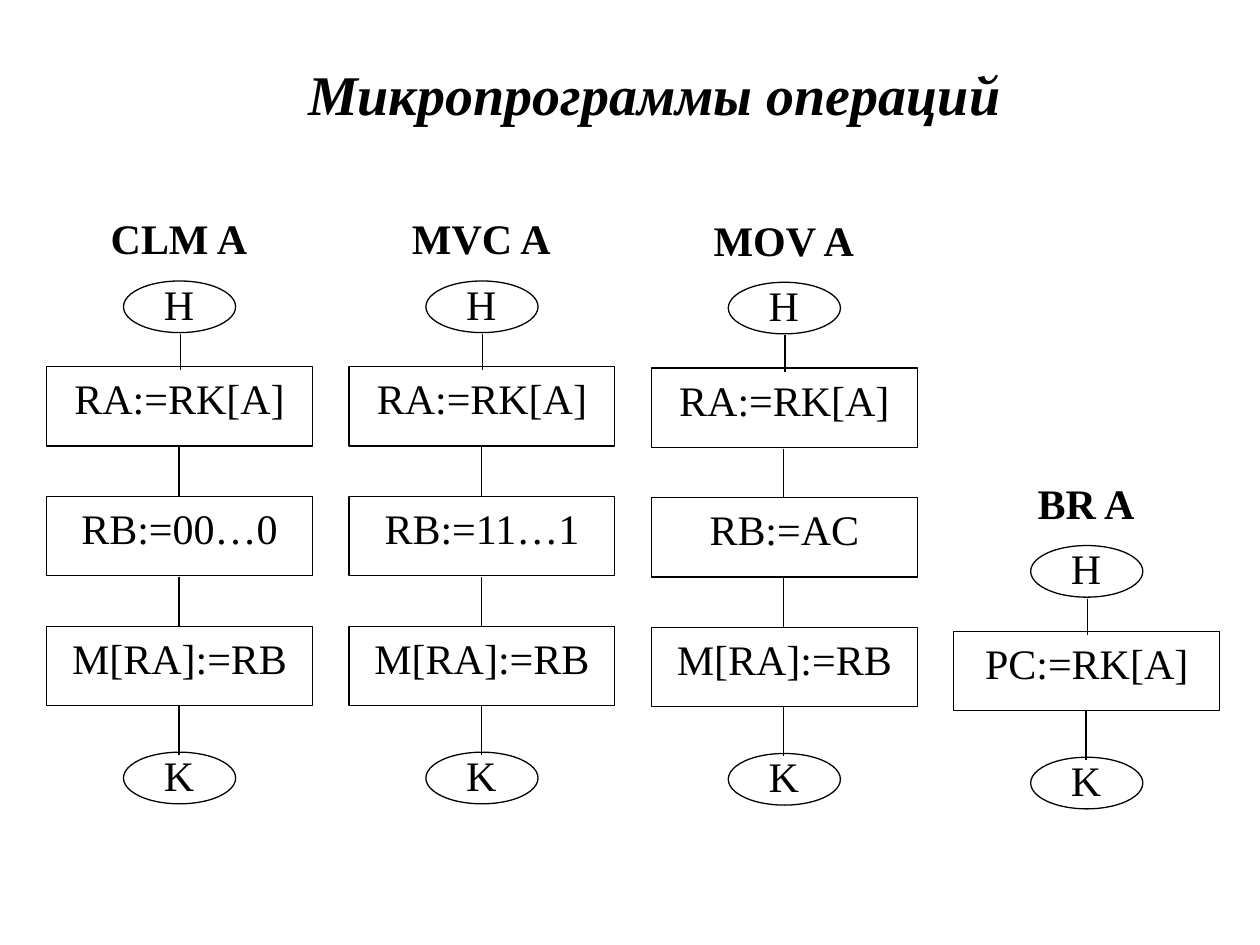
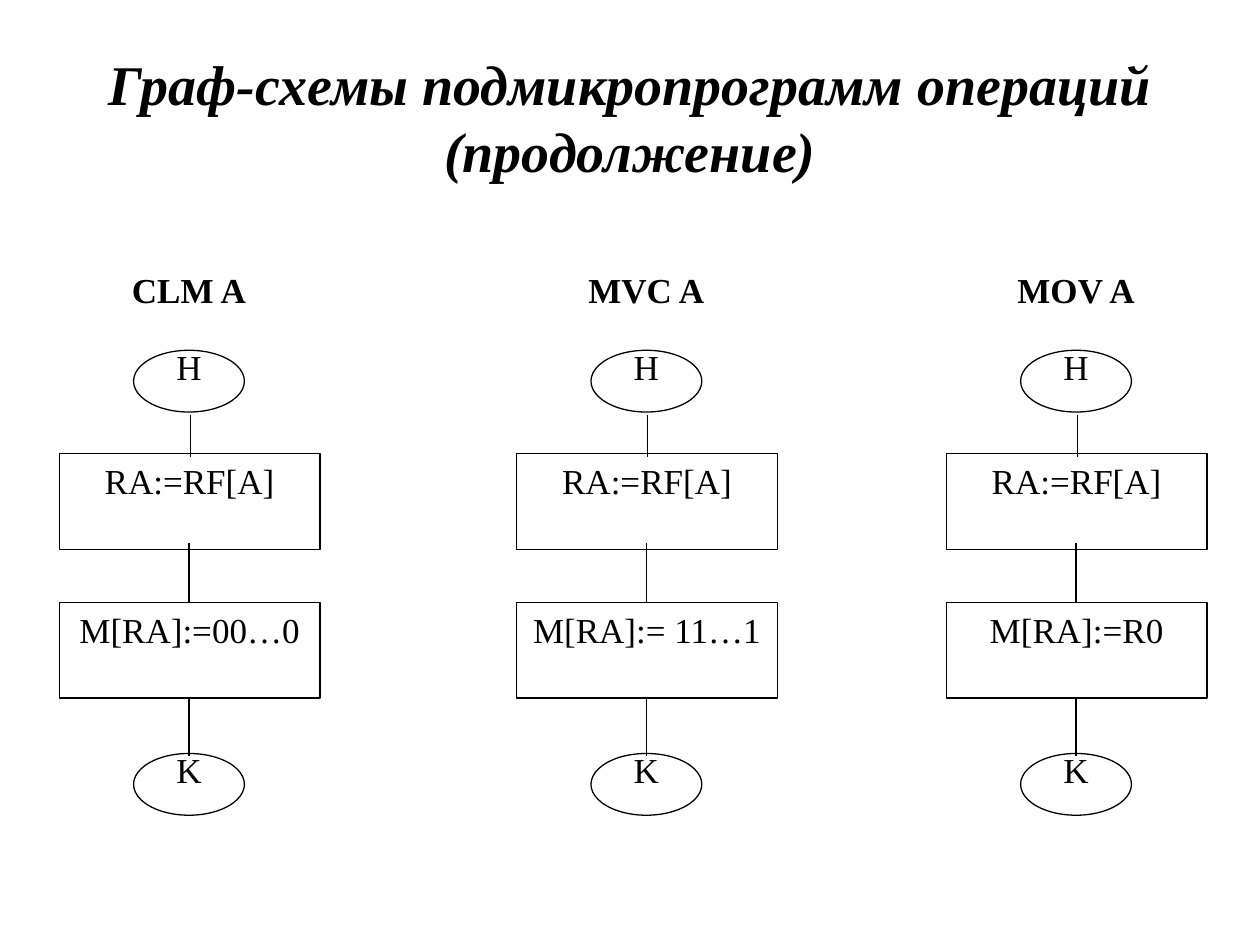
from dataclasses import dataclass

from lxml import etree
from pptx import Presentation
from pptx import util as u
from pptx.dml import color
from pptx.enum import shapes, text
from pptx.oxml import ns

PX = 9144  # EMU per px, 100 px to the inch
FONT = "Times New Roman"
INK = "000000"


def rgb(value):
    return color.RGBColor.from_string(value)


@dataclass
class FlowStyle:
    """Sizes of one slide's flowcharts, in px; font size in points."""
    size: int
    box: tuple
    oval: tuple
    label: tuple
    pitch: int
    name_rise: int     # from the start oval up to the name
    start_rise: int    # from the first box up to the start oval
    end_drop: int      # from the last box down to the end oval
    letter_rise: int   # from an oval's top up to its letter's text box
    entry_link: int
    link: int


WIDE = FlowStyle(size=24, box=(211, 63), oval=(89, 41), label=(138, 56), pitch=103,
                 name_rise=59, start_rise=68, end_drop=100, letter_rise=7,
                 entry_link=29, link=39)
TALL = FlowStyle(size=20, box=(207, 76), oval=(88, 49), label=(120, 67), pitch=118,
                 name_rise=70, start_rise=82, end_drop=120, letter_rise=9,
                 entry_link=34, link=47)


class Deck:
    def __init__(self):
        self.prs = Presentation()
        self.prs.slide_width, self.prs.slide_height = 1000 * PX, 750 * PX
        self.s = None

    def set_text(self, sp, words, size, bold=False, italic=False):
        tf = sp.text_frame
        tf.word_wrap = True
        tf.auto_size = text.MSO_AUTO_SIZE.NONE
        p = tf.paragraphs[0]
        p.text = words
        p.alignment = text.PP_ALIGN.CENTER
        p.font.name, p.font.size = FONT, u.Pt(size)
        p.font.bold, p.font.italic = bold, italic
        p.font.color.rgb = rgb(INK)
        return tf

    def slide(self, title, x, y, w, h):
        self.s = self.prs.slides.add_slide(self.prs.slide_layouts[5])
        sp = self.s.shapes.title
        sp.left, sp.top, sp.width, sp.height = (v * PX for v in (x, y, w, h))
        tf = self.set_text(sp, title, 32, bold=True, italic=True)
        tf.vertical_anchor = text.MSO_ANCHOR.MIDDLE

    def outline(self, kind, cx, y, size):
        w, h = size
        sp = self.s.shapes.add_shape(kind, (cx - w // 2) * PX, y * PX, w * PX, h * PX)
        sp.shadow.inherit = False
        sp.fill.background()
        sp.line.color.rgb = rgb(INK)
        sp.line.width = u.Pt(0.75)
        return sp

    def label(self, words, cx, y, style, bold=False):
        w, h = style.label
        sp = self.s.shapes.add_textbox((cx - w // 2) * PX, y * PX, w * PX, h * PX)
        self.set_text(sp, words, style.size, bold)

    def oval(self, letter, cx, y, style):
        self.outline(shapes.MSO_SHAPE.OVAL, cx, y, style.oval)
        self.label(letter, cx, y - style.letter_rise, style)

    def step(self, words, cx, y, style):
        sp = self.outline(shapes.MSO_SHAPE.RECTANGLE, cx, y, style.box)
        tf = self.set_text(sp, words, style.size)
        tf.vertical_anchor = text.MSO_ANCHOR.TOP

    def link(self, x, bottom, length):
        cn = self.s.shapes.add_connector(shapes.MSO_CONNECTOR.STRAIGHT, x * PX,
                                         (bottom - length) * PX, x * PX, bottom * PX)
        cn.line.color.rgb = rgb(INK)
        cn.line.width = u.Pt(0.75)
        etree.SubElement(cn._element.spPr, ns.qn("a:effectLst"))

    def flow(self, name, x, top, steps, style):
        """Draw a named flowchart whose first box has its left top at x, top."""
        cx = x + style.box[0] // 2
        tops = [top + i * style.pitch for i in range(len(steps))]
        start, end = top - style.start_rise, tops[-1] + style.end_drop
        self.label(name, cx, start - style.name_rise, style, bold=True)
        self.oval("Н", cx, start, style)
        self.link(cx + 1, top + 3, style.entry_link)
        for words, y, below in zip(steps, tops, tops[1:] + [end + 2]):
            self.step(words, cx, y, style)
            self.link(cx, below, style.link)
        self.oval("K", cx, end, style)


def main():
    deck = Deck()

    deck.slide("Микропрограммы операций", 47, 44, 945, 59)
    load, store = "RA:=RK[A]", "M[RA]:=RB"
    operations = [
        ("CLM A", 291, [load, "RB:=00…0", store]),
        ("MVC A", 291, [load, "RB:=11…1", store]),
        ("MOV A", 292, [load, "RB:=AC", store]),
        ("BR A", 501, ["PC:=RK[A]"]),
    ]
    for i, (name, top, steps) in enumerate(operations):
        deck.flow(name, 37 + 240 * i, top, steps, WIDE)

    deck.slide("Граф-схемы подмикропрограмм операций (продолжение)", 50, 30, 900, 125)
    for name, x, store in [("CLM A", 47, "M[RA]:=00…0"),
                           ("MVC A", 410, "M[RA]:= 11…1"),
                           ("MOV A", 751, "M[RA]:=R0")]:
        deck.flow(name, x, 360, ["RA:=RF[A]", store], TALL)

    deck.prs.save("out.pptx")


if __name__ == "__main__":
    main()
